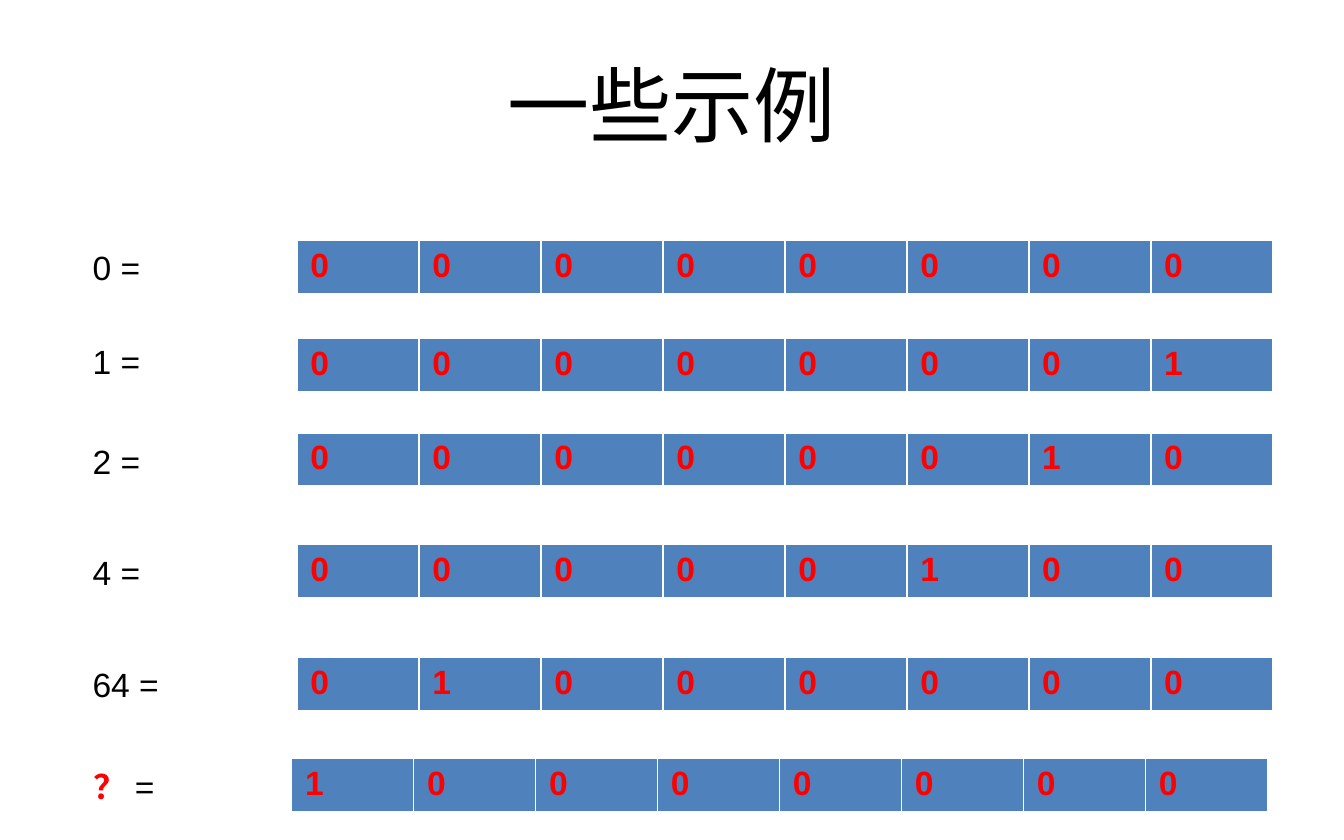
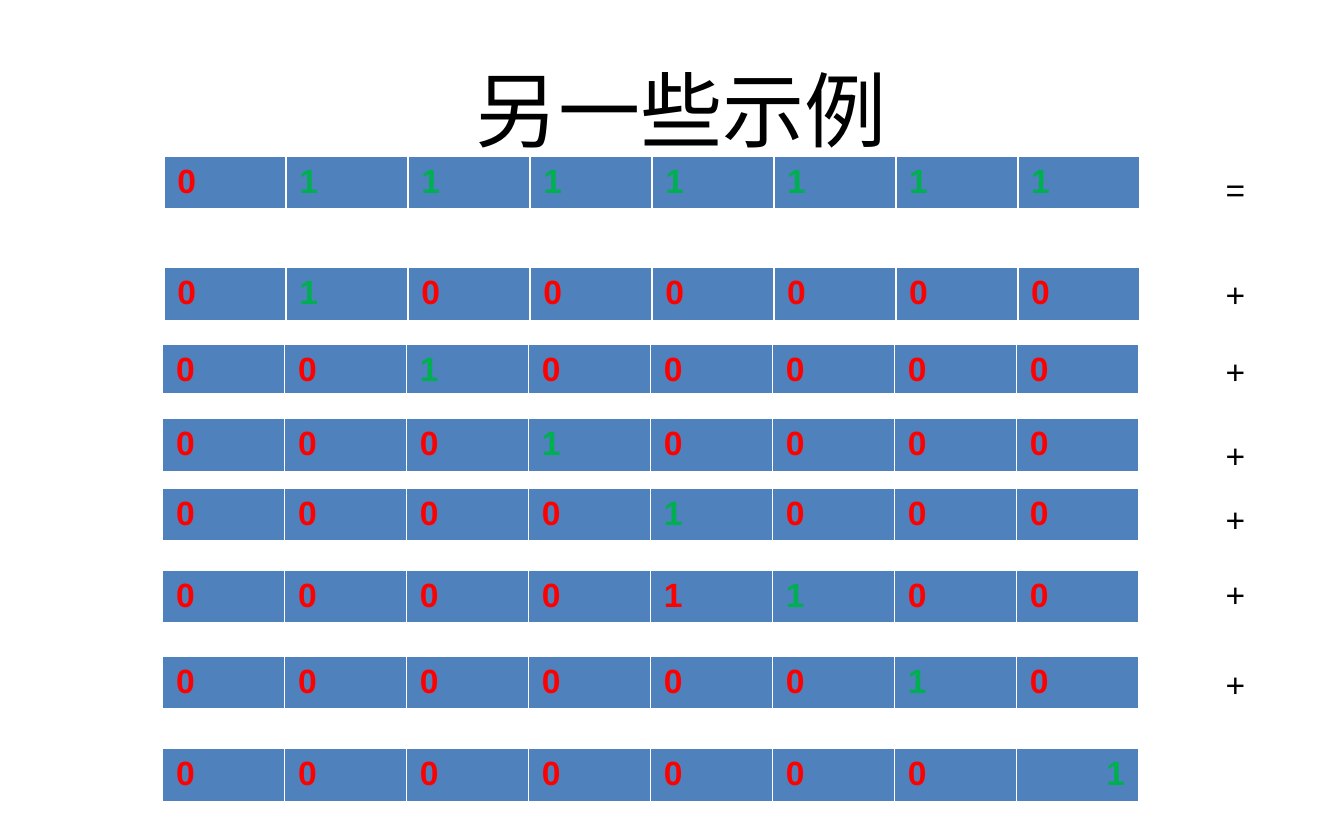
import lxml.etree
import pptx
import pptx.dml.color
import pptx.enum.text
import pptx.oxml.ns
import pptx.util

BLACK = pptx.dml.color.RGBColor(0x00, 0x00, 0x00)
WHITE = pptx.dml.color.RGBColor(0xFF, 0xFF, 0xFF)
RED = pptx.dml.color.RGBColor(0xFF, 0x00, 0x00)
GREEN = pptx.dml.color.RGBColor(0x00, 0xB0, 0x50)
BLUE = pptx.dml.color.RGBColor(0x4F, 0x81, 0xBD)

COLUMNS, ROWS = 100, 62.5
BITS = 8
BYTE_WIDTH, BYTE_HEIGHT = 72.6, 4.1
LABEL_HEIGHT = 4
BORDERS = {"a:lnL": 1, "a:lnR": 1, "a:lnT": 1, "a:lnB": 3}
LEFT = pptx.enum.text.PP_ALIGN.LEFT
RIGHT = pptx.enum.text.PP_ALIGN.RIGHT
CENTER = pptx.enum.text.PP_ALIGN.CENTER


class BinaryDeck:
    """Holds the deck's style and the slide being filled."""

    def __init__(self):
        """Start an empty deck of 10 by 6.25 inches."""
        self.deck = pptx.Presentation()
        self.deck.slide_width = pptx.util.Inches(10)
        self.deck.slide_height = pptx.util.Inches(6.25)
        self.slide = None

    def box(self, column, row, columns, rows):
        """Turn grid units into left, top, width and height."""
        across = self.deck.slide_width / COLUMNS
        down = self.deck.slide_height / ROWS
        return [round(n) for n in
                (column * across, row * down, columns * across, rows * down)]

    def text_run(self, paragraph, wording, color=BLACK, bold=False, size=18, font="Arial"):
        """Add one formatted run to a paragraph."""
        run = paragraph.add_run()
        run.text = wording
        run.font.size = pptx.util.Pt(size)
        run.font.name = font
        run.font.bold = bold
        run.font.color.rgb = color

    def start_slide(self, heading, column, row):
        """Open a title-only slide and place its heading."""
        self.slide = self.deck.slides.add_slide(self.deck.slide_layouts[5])
        title = self.slide.shapes.title
        title.left, title.top, title.width, title.height = self.box(
            column, row, 90, 10.4)
        paragraph = title.text_frame.paragraphs[0]
        paragraph.alignment = CENTER
        self.text_run(paragraph, heading, size=44, font="Calibri")

    def label(self, column, row, columns, *runs):
        """Add a one-line label made of (wording, colour, bold) runs."""
        label = self.slide.shapes.add_textbox(
            *self.box(column, row, columns, LABEL_HEIGHT))
        frame = label.text_frame
        frame.word_wrap = True
        frame.auto_size = pptx.enum.text.MSO_AUTO_SIZE.SHAPE_TO_FIT_TEXT
        for run in runs:
            self.text_run(frame.paragraphs[0], *run)

    def border(self, cell):
        """Draw the white cell borders, the lower one thicker."""
        properties = cell._tc.get_or_add_tcPr()
        for position, (tag, points) in enumerate(BORDERS.items()):
            line = lxml.etree.Element(pptx.oxml.ns.qn(tag), w=str(pptx.util.Pt(points)))
            fill = lxml.etree.SubElement(line, pptx.oxml.ns.qn("a:solidFill"))
            lxml.etree.SubElement(fill, pptx.oxml.ns.qn("a:srgbClr"), val=str(WHITE))
            properties.insert(position, line)

    def byte(self, value, column, row, green=0, height=BYTE_HEIGHT, last_align=LEFT):
        """Show a value as eight bits; bits set in the green mask are green."""
        table = self.slide.shapes.add_table(
            1, BITS, *self.box(column, row, BYTE_WIDTH, height)).table
        table.first_row = table.horz_banding = False
        bits = zip(f"{value:08b}", f"{green:08b}", table.rows[0].cells)
        for bit, marked, cell in bits:
            cell.fill.solid()
            cell.fill.fore_color.rgb = BLUE
            self.border(cell)
            paragraph = cell.text_frame.paragraphs[0]
            self.text_run(paragraph, bit, GREEN if marked == "1" else RED, bold=True)
        paragraph.alignment = last_align


def build_examples(deck):
    """Slide with single values and their bits."""
    deck.start_slide("一些示例", 5, 2.5)
    examples = [(0, 17.9, 17.9), (1, 25.2, 24.9), (2, 32.2, 32.3),
                (4, 40.5, 40.6), (64, 48.9, 48.9)]
    for value, byte_row, label_row in examples:
        deck.byte(value, 22.1, byte_row)
        deck.label(5.9, label_row, 7.9, (f"{value} = ",))
    deck.byte(128, 21.7, 56.4)
    deck.label(6, 56.5, 7.9, ("？", RED, True), (" = ",))


def build_sum(deck):
    """Slide that splits 127 into powers of two."""
    deck.start_slide("另一些示例", 5.7, 2.9)
    deck.byte(127, 12.2, 11.6, green=127)
    deck.byte(64, 12.2, 19.9, green=64)
    deck.byte(32, 12.1, 25.6, green=32, height=3.5)
    deck.byte(16, 12.1, 31.1, green=16)
    deck.byte(8, 12.1, 36.3, green=8)
    deck.byte(12, 12.1, 42.4, green=4)
    deck.byte(2, 12.1, 48.8, green=2)
    deck.byte(1, 12.1, 55.7, green=1, last_align=RIGHT)
    deck.label(90.2, 12.1, 5.5, ("=",))
    for plus_row in (19.9, 25.6, 31.9, 36.6, 42.2, 48.9):
        deck.label(90.2, plus_row, 5.5, ("+",))


binary_deck = BinaryDeck()
build_examples(binary_deck)
build_sum(binary_deck)
binary_deck.deck.save("out.pptx")
